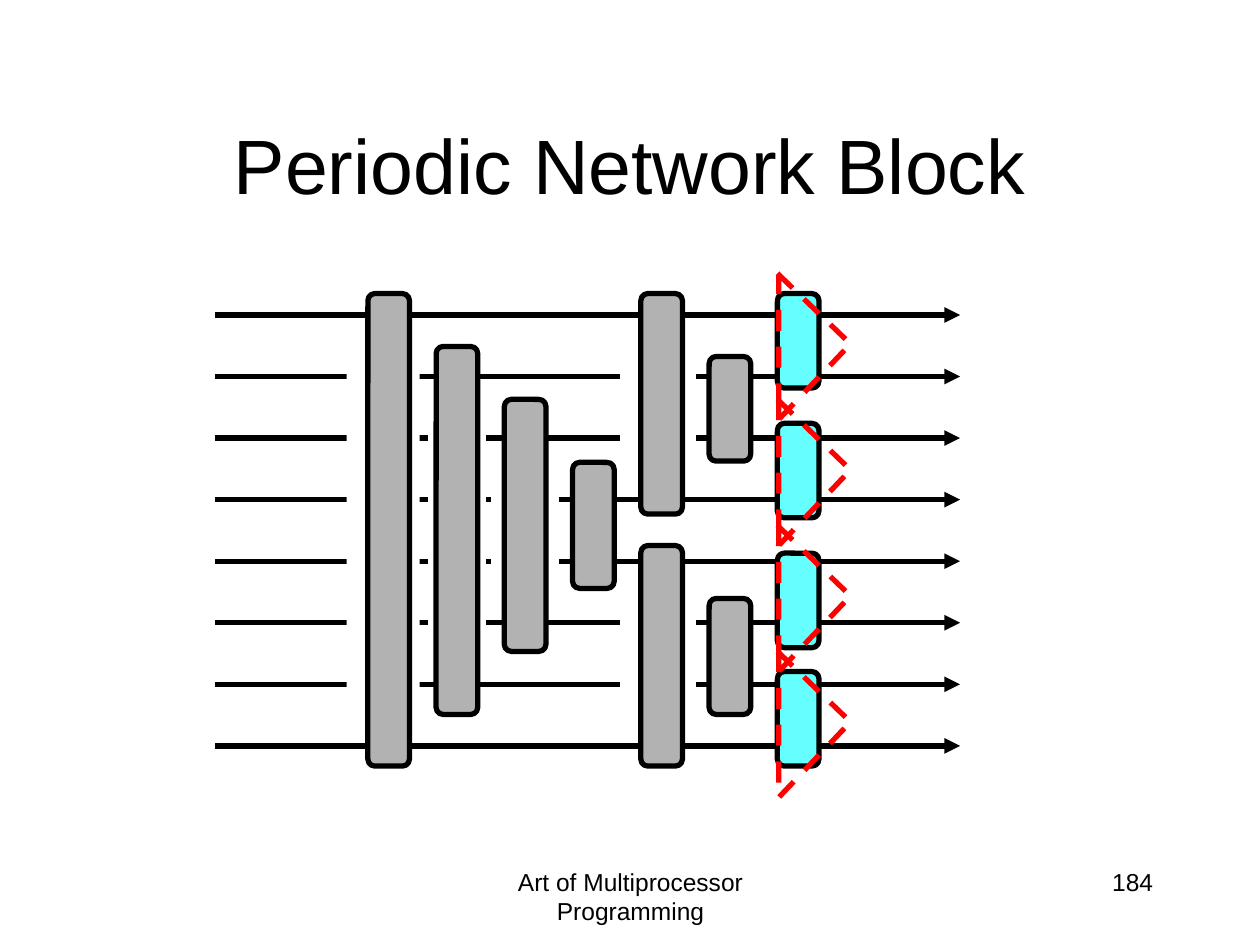
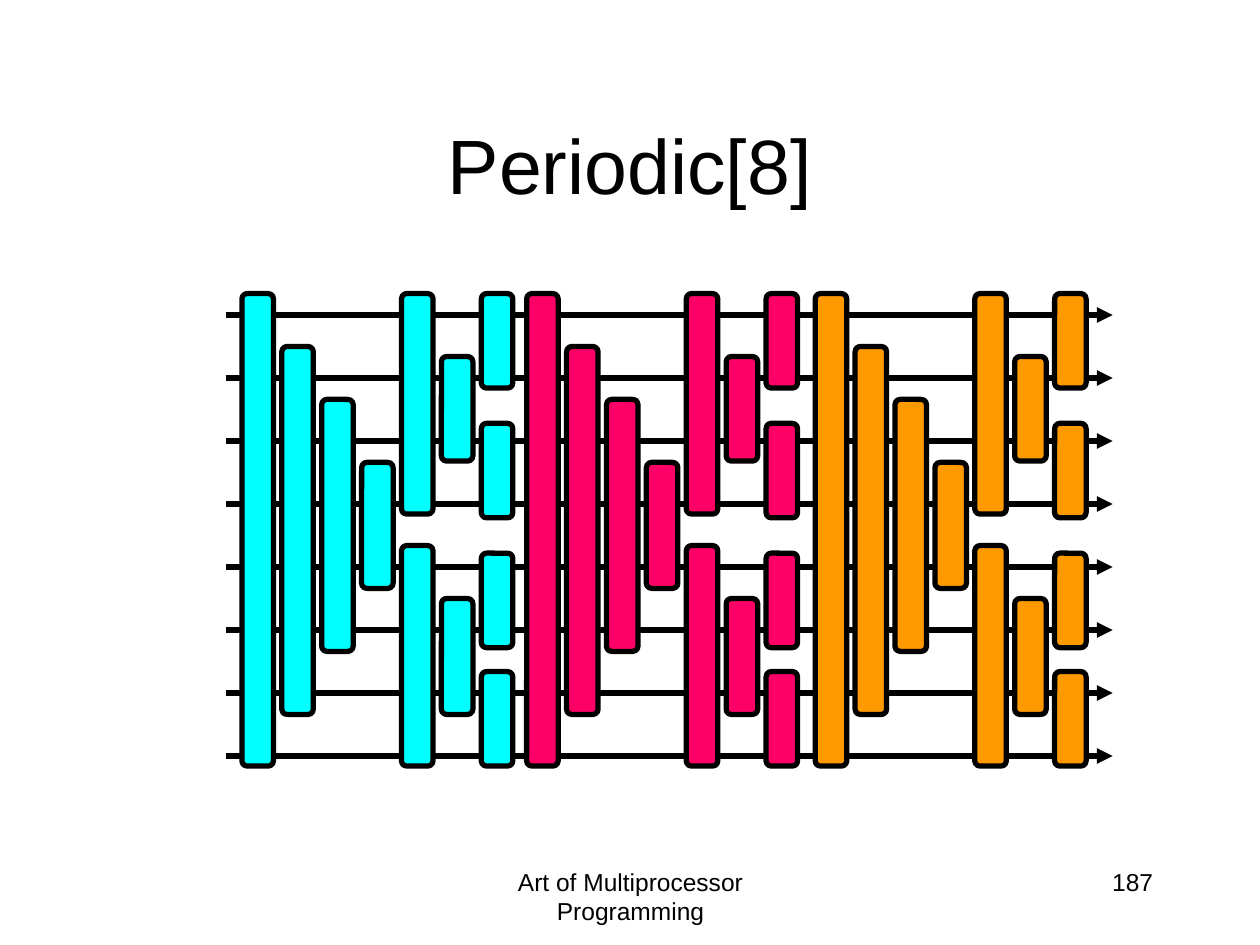
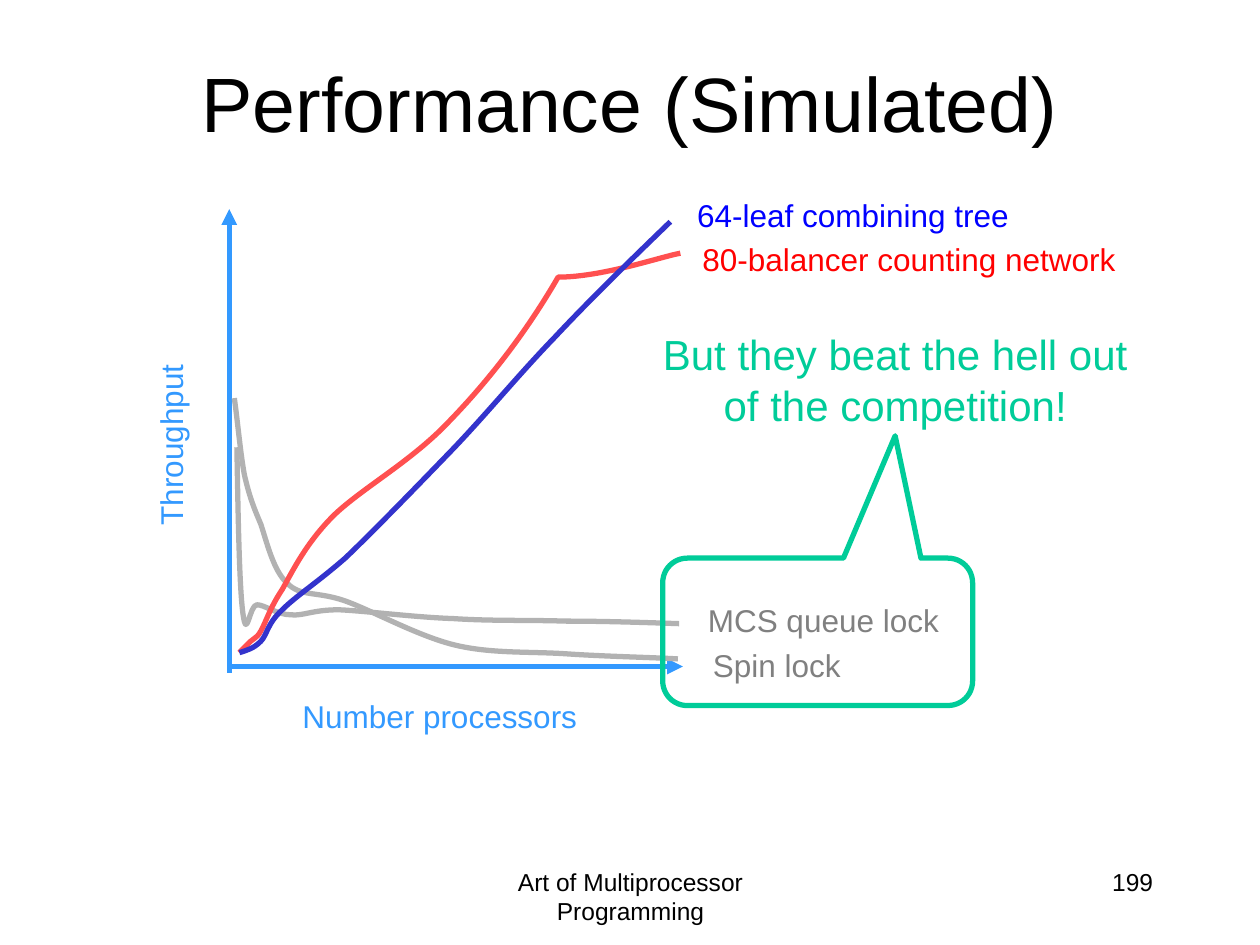
from lxml import etree
from pptx import Presentation
from pptx.dml.color import RGBColor
from pptx.enum.dml import MSO_LINE
from pptx.enum.shapes import MSO_CONNECTOR, MSO_SHAPE
from pptx.enum.text import MSO_ANCHOR, PP_ALIGN
from pptx.oxml.ns import qn
from pptx.util import Inches, Pt

RECT = MSO_SHAPE.RECTANGLE
ROUNDED = MSO_SHAPE.ROUNDED_RECTANGLE
CALLOUT = MSO_SHAPE.ROUNDED_RECTANGULAR_CALLOUT
STRAIGHT = MSO_CONNECTOR.STRAIGHT
DASH = MSO_LINE.DASH
CENTER, RIGHT = PP_ALIGN.CENTER, PP_ALIGN.RIGHT
TOP, MIDDLE = MSO_ANCHOR.TOP, MSO_ANCHOR.MIDDLE

FONT = "Arial"
BLACK, WHITE, GRAY, LABEL_GRAY = "000000", "FFFFFF", "B2B2B2", "808080"
CYAN, RED, AXIS_BLUE, GREEN = "66FFFF", "FF0000", "3399FF", "00CC99"
STROKE = 3
FOOTER = "Art of Multiprocessor Programming"

BLOCK_COLUMNS = [
    [(2.33, 3.75)],
    [(2.75, 2.92)],
    [(3.17, 2)],
    [(3.67, 1)],
    [(2.33, 1.75), (4.33, 1.75)],
    [(2.83, 0.83), (4.75, 0.92)],
    [(2.33, 0.75), (3.36, 0.75), (4.39, 0.75), (5.33, 0.75)],
]
WIRE_COUNT = 8
WIRE_GAPS = [
    (2.75, 2.75, 0.58, 2.83, None),
    (4.94, 2.83, 0.56, 0.83, WHITE),
    (4.94, 4.75, 0.56, 0.83, WHITE),
    (3.92, 3.75, 0.5, 0.83, WHITE),
    (3.42, 3.33, 0.42, 1.83, WHITE),
]
HIGHLIGHT_TOPS = [2.17, 3.17, 4.17, 5.17]
HIGHLIGHT = [(6.17, 0), (6.75, 0.56), (6.18, 1.16), (6.18, 0.02)]
PERIODS = [(1.92, "00FFFF"), (4.18, "FF0066"), (6.47, "FF9900")]

AXES = [((1.82, 5.34), (1.82, 1.66)), ((1.81, 5.29), (5.42, 5.29))]
CURVES = [
    (GRAY, [(1.88, 3.55),
            (1.89, 4.11), (1.9, 4.68), (1.93, 4.88),
            (1.96, 5.09), (1.98, 4.8), (2.04, 4.8),
            (2.1, 4.8), (2.2, 4.88), (2.31, 4.88),
            (2.41, 4.89), (2.48, 4.84), (2.69, 4.84),
            (2.91, 4.85), (3.3, 4.9), (3.6, 4.91),
            (3.9, 4.93), (4.19, 4.92), (4.49, 4.93),
            (4.78, 4.93), (5.09, 4.94), (5.39, 4.95)]),
    (GRAY, [(1.86, 3.16),
            (1.89, 3.38), (1.91, 3.61), (1.94, 3.77),
            (1.98, 3.94), (2.01, 4.02), (2.07, 4.16),
            (2.12, 4.31), (2.17, 4.53), (2.28, 4.63),
            (2.39, 4.74), (2.51, 4.69), (2.74, 4.77),
            (2.96, 4.85), (3.32, 5.05), (3.61, 5.12),
            (3.9, 5.19), (4.21, 5.17), (4.5, 5.19),
            (4.79, 5.21), (5.23, 5.22), (5.38, 5.23)]),
    ("FF5050", [(5.4, 2.01),
                (5.24, 2.04), (4.78, 2.2), (4.43, 2.2),
                (4.17, 2.65), (3.87, 3.03), (3.57, 3.34),
                (3.27, 3.66), (2.88, 3.87), (2.65, 4.09),
                (2.43, 4.31), (2.33, 4.52), (2.24, 4.68),
                (2.14, 4.83), (2.11, 4.94), (2.07, 5.01),
                (2.03, 5.08), (2.01, 5.06), (1.99, 5.09),
                (1.96, 5.12), (1.93, 5.15), (1.9, 5.18)]),
    ("3333CC", [(5.32, 1.76),
                (5.01, 2.06), (4.69, 2.37), (4.4, 2.68),
                (4.11, 2.98), (3.85, 3.3), (3.57, 3.59),
                (3.29, 3.88), (2.96, 4.22), (2.74, 4.43),
                (2.51, 4.63), (2.35, 4.73), (2.24, 4.84),
                (2.12, 4.95), (2.12, 5.04), (2.07, 5.09),
                (2.01, 5.15), (1.96, 5.16), (1.9, 5.18)]),
]
PLOT_LABELS = [
    ("MCS queue lock", (5.51, 4.72, 2.05, 0.4), LABEL_GRAY, 0),
    ("Spin lock", (5.54, 5.08, 1.25, 0.4), LABEL_GRAY, 0),
    ("Number processors", (2.25, 5.48, 2.48, 0.41), AXIS_BLUE, 0),
    ("Throughput", (0.61, 3.33, 1.49, 0.4), AXIS_BLUE, 270),
    ("64-leaf combining tree", (5.42, 1.51, 2.7, 0.4), "0000FF", 0),
    ("80-balancer counting network", (5.46, 1.86, 3.51, 0.4), RED, 0),
]
REMARK = "But they beat the hell out of the competition!"


def rgb(color):
    return RGBColor.from_string(color)


def inches(values):
    return [Inches(value) for value in values]


def add_text(slide, text, box, size, color=BLACK, align=CENTER, anchor=TOP,
             wrap=True, rotation=0):
    label = slide.shapes.add_textbox(*inches(box))
    label.rotation = rotation
    frame = label.text_frame
    frame.word_wrap = wrap
    frame.vertical_anchor = anchor
    paragraph = frame.paragraphs[0]
    paragraph.alignment = align
    run = paragraph.add_run()
    run.text = text
    run.font.name = FONT
    run.font.size = Pt(size)
    run.font.color.rgb = rgb(color)


def style(shape, fill, line):
    shape.shadow.inherit = False
    if fill:
        shape.fill.solid()
        shape.fill.fore_color.rgb = rgb(fill)
    else:
        shape.fill.background()
    if line:
        shape.line.color.rgb = rgb(line)
        shape.line.width = Pt(STROKE)
    else:
        shape.line.fill.background()


def add_box(slide, preset, box, fill, line):
    shape = slide.shapes.add_shape(preset, *inches(box))
    style(shape, fill, line)
    return shape


def add_arrow(slide, start, end, color):
    arrow = slide.shapes.add_connector(STRAIGHT, *inches(start + end))
    arrow.line.color.rgb = rgb(color)
    arrow.line.width = Pt(STROKE)
    properties = arrow.line._get_or_add_ln().getparent()
    tail = etree.SubElement(properties.find(qn("a:ln")), qn("a:tailEnd"))
    tail.set("type", "triangle")
    etree.SubElement(properties, qn("a:effectLst"))


def add_outline(slide, points, color):
    start, *rest = [inches(point) for point in points]
    builder = slide.shapes.build_freeform(*start)
    builder.add_line_segments(rest, close=False)
    outline = builder.convert_to_shape()
    style(outline, None, color)
    return outline


def add_curve(slide, points, color):
    curve = add_outline(slide, points, color)
    outline = next(curve.element.iter(qn("a:path")))
    segments = outline.findall(qn("a:lnTo"))
    for first in range(0, len(segments), 3):
        bezier = etree.SubElement(outline, qn("a:cubicBezTo"))
        for segment in segments[first:first + 3]:
            bezier.append(segment[0])
            outline.remove(segment)


def add_wires(slide, left, right, top, bottom):
    for i in range(WIRE_COUNT):
        y = top + i * (bottom - top) / (WIRE_COUNT - 1)
        add_arrow(slide, (left, y), (right, y), BLACK)


def add_block(slide, left, span, width, fill, last_fill):
    last = len(BLOCK_COLUMNS) - 1
    for i, balancers in enumerate(BLOCK_COLUMNS):
        x = left + i * span / last
        for top, height in balancers:
            add_box(slide, ROUNDED, (x, top, width, height),
                    last_fill if i == last else fill, BLACK)


def new_slide(deck, title, number, title_top=0.67):
    slide = deck.slides.add_slide(deck.slide_layouts[6])
    add_text(slide, FOOTER, (3.42, 6.83, 3.17, 0.5), 14)
    add_text(slide, number, (7.17, 6.83, 2.08, 0.5), 14, align=RIGHT)
    add_text(slide, title, (0.75, title_top, 8.5, 1.25), 44, anchor=MIDDLE)
    return slide


def build_network_block(deck):
    slide = new_slide(deck, "Periodic Network Block", "184")
    add_wires(slide, 1.71, 7.62, 2.5, 5.92)
    for *box, line in WIRE_GAPS:
        add_box(slide, RECT, box, WHITE, line)
    add_block(slide, 2.92, 3.25, 0.33, GRAY, CYAN)
    for top in HIGHLIGHT_TOPS:
        points = [(x, top + y) for x, y in HIGHLIGHT]
        add_outline(slide, points, RED).line.dash_style = DASH


def build_periodic(deck):
    slide = new_slide(deck, "Periodic[8]", "187")
    add_wires(slide, 1.79, 8.83, 2.5, 6)
    for left, color in PERIODS:
        add_block(slide, left, 1.9, 0.25, color, color)


def build_performance(deck):
    slide = new_slide(deck, "Performance (Simulated)", "199", title_top=0.18)
    for start, end in AXES:
        add_arrow(slide, start, end, AXIS_BLUE)
    for color, points in CURVES:
        add_curve(slide, points, color)
    for text, box, color, rotation in PLOT_LABELS:
        add_text(slide, text, box, 18, color, wrap=False, rotation=rotation)
    callout = add_box(slide, CALLOUT, (5.26, 4.43, 2.46, 1.17), None, GREEN)
    callout.adjustments[0] = 0.25
    callout.adjustments[1] = -1.33
    add_text(slide, REMARK, (5, 2.56, 4.21, 0.91), 24, GREEN)


def main():
    deck = Presentation()
    deck.slide_width, deck.slide_height = Inches(10), Inches(7.5)
    build_network_block(deck)
    build_periodic(deck)
    build_performance(deck)
    deck.save("out.pptx")


if __name__ == "__main__":
    main()
